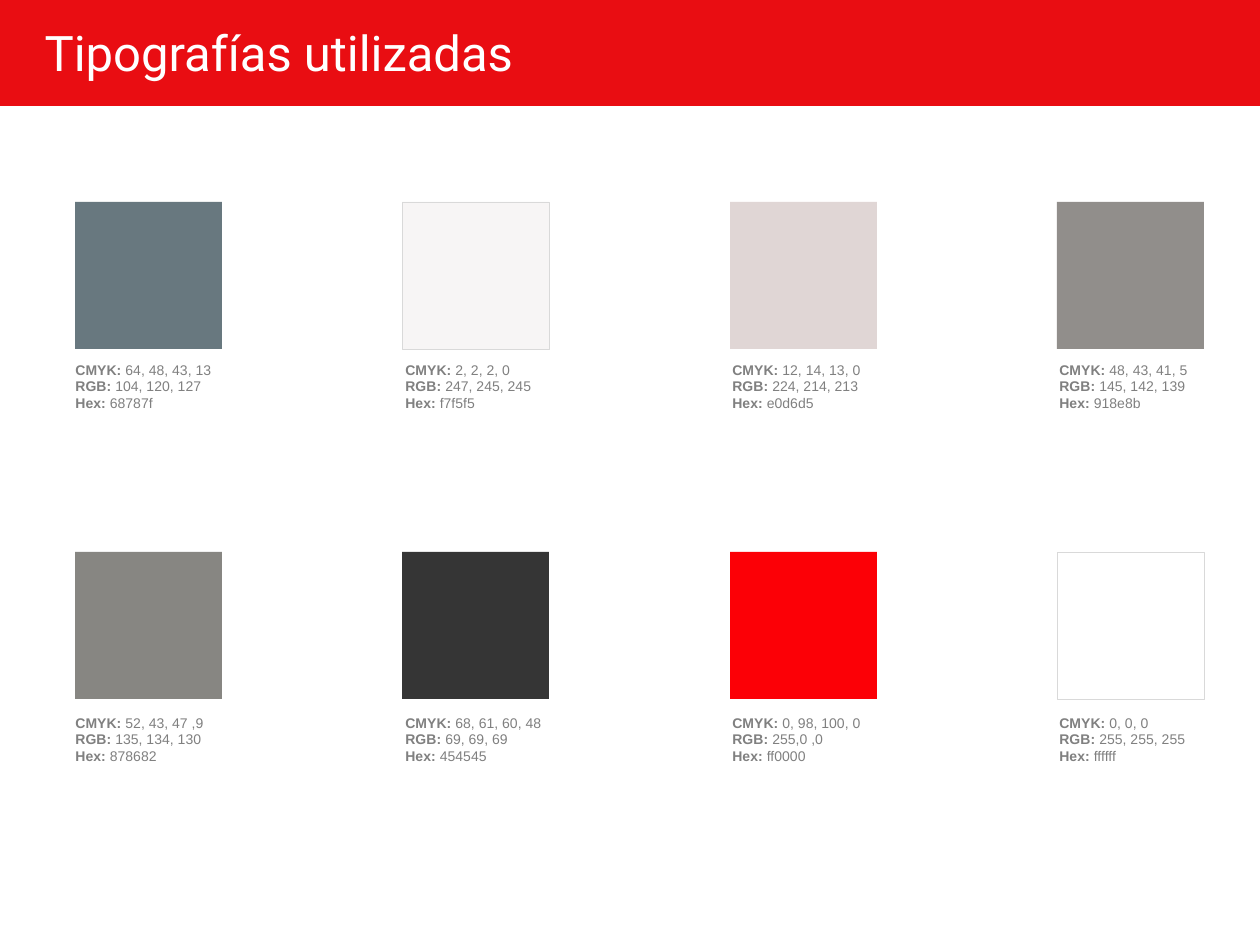
import pptx
import pptx.dml.color
import pptx.enum.shapes
import pptx.enum.text
import pptx.util

PX = 914400 // 126
RECTANGLE = pptx.enum.shapes.MSO_SHAPE.RECTANGLE


def color(value):
    return pptx.dml.color.RGBColor.from_string(value)


def add_rectangle(bounds, fill, outline=None, weight=0):
    """Add a flat rectangle, bounds in px, with an optional outline in points."""
    shape = page.shapes.add_shape(RECTANGLE, *(value * PX for value in bounds))
    shape.shadow.inherit = False
    shape.fill.solid()
    shape.fill.fore_color.rgb = color(fill)
    if outline:
        shape.line.color.rgb = color(outline)
        shape.line.width = pptx.util.Pt(weight)
    else:
        shape.line.fill.background()
    return shape


deck = pptx.Presentation()
deck.slide_width, deck.slide_height = 1260 * PX, 945 * PX
page = deck.slides.add_slide(deck.slide_layouts[5])

# Header band, placed behind the title
band = add_rectangle((0, 0, 1260, 104), "E90D12", "E90D12", 2)
title = page.shapes.title
band._element.addnext(title._element)
title_box = {"left": 32, "top": 11, "width": 588, "height": 81}
for name, value in title_box.items():
    setattr(title, name, value * PX)
title.text_frame.text = "Tipografías utilizadas"
title.text_frame.vertical_anchor = pptx.enum.text.MSO_ANCHOR.MIDDLE
paragraph = title.text_frame.paragraphs[0]
paragraph.alignment = pptx.enum.text.PP_ALIGN.LEFT
for name, value in {"name": "Roboto", "size": pptx.util.Pt(28)}.items():
    setattr(paragraph.font, name, value)
paragraph.font.color.rgb = color("FFFFFF")

# Each swatch: fill, outline, CMYK, RGB, Hex
swatches = [
    ("68787F", None, "64, 48, 43, 13", "104, 120, 127", "68787f"),
    ("F7F5F5", "D9D9D9", "2, 2, 2, 0", "247, 245, 245", "f7f5f5"),
    ("E0D6D5", None, "12, 14, 13, 0", "224, 214, 213", "e0d6d5"),
    ("918E8B", None, "48, 43, 41, 5", "145, 142, 139", "918e8b"),
    ("878682", None, "52, 43, 47 ,9", "135, 134, 130", "878682"),
    ("353535", None, "68, 61, 60, 48", "69, 69, 69", "454545"),
    ("FC0006", None, "0, 98, 100, 0", "255,0 ,0", "ff0000"),
    ("FFFFFF", "D9D9D9", "0, 0, 0", "255, 255, 255", "ffffff"),
]
swatch_lefts = (75, 402, 730, 1057)
caption_lefts = (63, 393, 720, 1047)
swatch_tops = (202, 552)
caption_tops = (355, 708)
swatch_size = 147
caption_font = {"name": "Arial", "size": pptx.util.Pt(8)}

for index, (fill, outline, *codes) in enumerate(swatches):
    row, column = divmod(index, 4)
    add_rectangle(
        (swatch_lefts[column], swatch_tops[row], swatch_size, swatch_size),
        fill, outline, 0.25,
    )
    box = page.shapes.add_textbox(
        caption_lefts[column] * PX, caption_tops[row] * PX, 168 * PX, 63 * PX
    )
    frame = box.text_frame
    frame.word_wrap = True
    frame.auto_size = pptx.enum.text.MSO_AUTO_SIZE.SHAPE_TO_FIT_TEXT
    for line, (label, code) in enumerate(zip(("CMYK: ", "RGB: ", "Hex: "), codes)):
        paragraph = frame.add_paragraph() if line else frame.paragraphs[0]
        for words, bold in ((label, True), (code, False)):
            span = paragraph.add_run()
            span.text = words
            for name, value in {**caption_font, "bold": bold}.items():
                setattr(span.font, name, value)
            span.font.color.rgb = color("808080")

deck.save("out.pptx")
